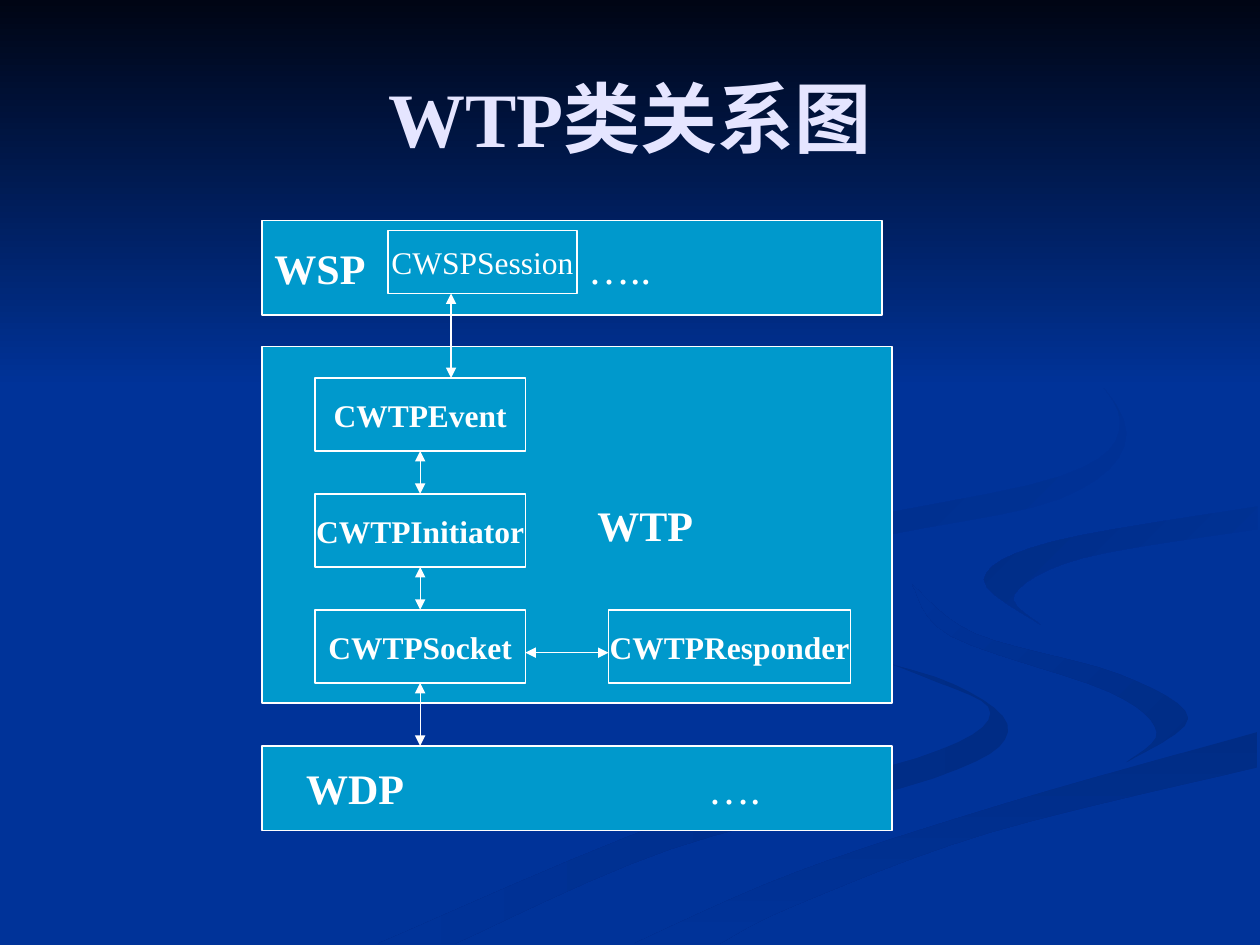
import dataclasses
import itertools

import pptx
import pptx.dml.color
import pptx.enum.shapes
import pptx.enum.text
import pptx.oxml
import pptx.oxml.ns
import pptx.util
from pptx.util import Inches

ALIGN = pptx.enum.text.PP_ALIGN
CURVE_STEPS = 6


@dataclasses.dataclass(frozen=True)
class Theme:
    font: str = "Times New Roman"
    background: str = "003399"
    sky: str = "000514"
    ribbon: str = "002C85"
    box: str = "0099CC"
    ink: str = "FFFFFF"
    title: str = "E5E5FF"
    title_size: int = 44
    layer_size: int = 24
    class_size: int = 18
    line_width: float = 0.75


THEME = Theme()
FADE_OUT = (THEME.ribbon, THEME.background)
FADE_IN = (THEME.background, THEME.ribbon)

# Each ribbon: its two curved edges in inches, gradient, clockwise angle.
RIBBONS = [
    ([(5.75, 4.59), (5.72, 4.76), (7.28, 5.35), (7.86, 5.66), (7.27, 6.02),
      (5.39, 6.49), (3, 7.49)],
     [(3.61, 7.49), (5.32, 6.74), (7.4, 6.18), (8, 5.81), (7.57, 5.43),
      (6.42, 5.07), (5.75, 4.59)], FADE_OUT, 180),
    ([(7.24, 4.64), (7.55, 5.05), (8.8, 5.49), (9.18, 5.81), (8.94, 6.05)],
     [(8.94, 6.05), (9.43, 5.7), (8.88, 5.35), (7.74, 5.03), (7.24, 4.64)],
     FADE_OUT, 225),
    ([(5.03, 7.49), (6.3, 6.93), (7.97, 6.38), (9.98, 5.81)],
     [(9.98, 6.09), (7.85, 6.61), (6.3, 7.19), (5.71, 7.49)], FADE_OUT, 90),
    ([(8.26, 4.96), (8.05, 4.72), (8.59, 4.43), (9.98, 4.2)],
     [(9.98, 4.02), (8.35, 4.3), (7.81, 4.6), (8.26, 4.96)], FADE_IN, 225),
    ([(7.62, 2.33), (8.46, 2.79), (8.89, 3.35), (8.42, 3.78), (6.49, 4.2),
      (5.77, 4.62), (6.22, 5)],
     [(6.22, 5), (5.93, 4.7), (6.83, 4.3), (8.41, 3.96), (8.94, 3.44),
      (8.43, 2.75), (7.62, 2.33)], FADE_IN, 225),
]


def rgb(value):
    return pptx.dml.color.RGBColor.from_string(value)


def smooth_edge(knots):
    """Return points on a Catmull-Rom curve through the knots."""
    padded = [knots[0], *knots, knots[-1]]
    points = []
    for index in range(len(knots) - 1):
        for step in range(CURVE_STEPS):
            t = step / CURVE_STEPS
            points.append(tuple(
                b + t * (c - a + t * (2 * a - 5 * b + 4 * c - d
                                      + t * (3 * b - a - 3 * c + d))) / 2
                for a, b, c, d in zip(*padded[index:index + 4])))
    # The halved linear and higher terms make the curve pass through each knot.
    return points + [knots[-1]]


def fill_gradient(shape, colors, angle):
    shape.shadow.inherit = False
    shape.line.fill.background()
    shape.fill.gradient()
    shape.fill.gradient_angle = 360 - angle
    for stop, color in zip(shape.fill.gradient_stops, colors):
        stop.color.rgb = rgb(color)


def add_backdrop(slide, width, sky_height):
    slide.background.fill.solid()
    slide.background.fill.fore_color.rgb = rgb(THEME.background)
    for first_edge, second_edge, colors, angle in RIBBONS:
        outline = smooth_edge(first_edge) + smooth_edge(second_edge)
        points = [(Inches(x), Inches(y)) for x, y in outline]
        builder = slide.shapes.build_freeform(*points[0])
        builder.add_line_segments(points[1:], close=True)
        fill_gradient(builder.convert_to_shape(), colors, angle)
    sky = slide.shapes.add_shape(pptx.enum.shapes.MSO_SHAPE.RECTANGLE,
                                 0, 0, Inches(width), Inches(sky_height))
    fill_gradient(sky, (THEME.sky, THEME.background), 90)


def add_run(paragraph, text, size, bold, color=THEME.ink):
    run = paragraph.add_run()
    run.text = text
    values = {"name": THEME.font, "size": pptx.util.Pt(size), "bold": bold}
    for name, value in values.items():
        setattr(run.font, name, value)
    run.font.color.rgb = rgb(color)


def set_title(slide, text, left, top, width, height):
    title = slide.shapes.title
    # The backdrop is drawn first, so the title moves in front of it.
    title._element.getparent().append(title._element)
    box = {"left": left, "top": top, "width": width, "height": height}
    for name, value in box.items():
        setattr(title, name, Inches(value))
    title.text_frame.vertical_anchor = pptx.enum.text.MSO_ANCHOR.MIDDLE
    paragraph = title.text_frame.paragraphs[0]
    paragraph.alignment = ALIGN.CENTER
    add_run(paragraph, text, THEME.title_size, True, THEME.title)


def add_box(slide, left, top, width, height, runs, size,
            align=ALIGN.CENTER, indent=0.1, tab=None):
    """Draw a box holding (text, bold) runs; tab is a stop after the indent."""
    shape = slide.shapes.add_shape(
        pptx.enum.shapes.MSO_SHAPE.RECTANGLE,
        *map(Inches, (left, top, width, height)))
    shape.shadow.inherit = False
    shape.fill.solid()
    shape.fill.fore_color.rgb = rgb(THEME.box)
    shape.line.color.rgb = rgb(THEME.ink)
    shape.line.width = pptx.util.Pt(THEME.line_width)
    frame = shape.text_frame
    frame.word_wrap = size == THEME.layer_size
    frame.vertical_anchor = pptx.enum.text.MSO_ANCHOR.MIDDLE
    frame.margin_left = Inches(indent)
    paragraph = frame.paragraphs[0]
    paragraph.alignment = align
    if tab:
        paragraph._p.get_or_add_pPr().append(pptx.oxml.parse_xml(
            f'<a:tabLst {pptx.oxml.ns.nsdecls("a")}>'
            f'<a:tab pos="{Inches(tab)}" algn="l"/></a:tabLst>'))
    for text, bold in runs:
        add_run(paragraph, text, size, bold)


def add_double_arrow(slide, start_x, start_y, end_x, end_y):
    connector = slide.shapes.add_connector(
        pptx.enum.shapes.MSO_CONNECTOR.STRAIGHT,
        *map(Inches, (start_x, start_y, end_x, end_y)))
    connector.line.color.rgb = rgb(THEME.ink)
    connector.line.width = pptx.util.Pt(THEME.line_width)
    line = connector.line._get_or_add_ln()
    namespace = pptx.oxml.ns.nsdecls("a")
    for end in ("headEnd", "tailEnd"):
        line.append(pptx.oxml.parse_xml(f'<a:{end} {namespace} type="triangle"/>'))
    connector._element.spPr.append(pptx.oxml.parse_xml(f"<a:effectLst {namespace}/>"))


def add_class_diagram(slide, left, top, width):
    layer, small = THEME.layer_size, THEME.class_size
    wtp_top, wdp_top = top + 1, top + 4.17
    add_box(slide, left, top, width - 0.08, 0.75, [("WSP", True), ("\t…..", False)],
            layer, ALIGN.LEFT, tab=2.49)
    add_box(slide, left + 1, top + 0.08, 1.5, 0.5, [("CWSPSession", False)], small)
    add_box(slide, left, wtp_top, width, 2.83, [("WTP", True)], layer, indent=1.18)

    class_left, class_width, class_height = left + 0.42, 1.67, 0.58
    names = ["CWTPEvent", "CWTPInitiator", "CWTPSocket"]
    tops = [wtp_top + 0.25 + row * 0.92 for row in range(len(names))]
    for name, class_top in zip(names, tops):
        add_box(slide, class_left, class_top, class_width, class_height,
                [(name, True)], small)
    responder_left = left + 2.75
    add_box(slide, responder_left, tops[-1], 1.92, class_height,
            [("CWTPResponder", True)], small)
    add_box(slide, left, wdp_top, width, 0.67, [("WDP", True), ("\t….", False)],
            layer, ALIGN.LEFT, indent=0.35, tab=3.19)

    session_x, center_x = left + 1.5, class_left + class_width / 2
    add_double_arrow(slide, session_x, top + 0.58, session_x, tops[0])
    for upper, lower in itertools.pairwise(tops + [wdp_top]):
        add_double_arrow(slide, center_x, upper + class_height, center_x, lower)
    middle = tops[-1] + 0.34
    add_double_arrow(slide, class_left + class_width, middle, responder_left, middle)


def main():
    presentation = pptx.Presentation()
    presentation.slide_width, presentation.slide_height = Inches(10), Inches(7.5)
    slide = presentation.slides.add_slide(presentation.slide_layouts[5])
    add_backdrop(slide, 10, 3.08)
    set_title(slide, "WTP类关系图", 0.5, 0.3, 9, 1.25)
    add_class_diagram(slide, 2.08, 1.75, 5)
    presentation.save("out.pptx")


if __name__ == "__main__":
    main()
